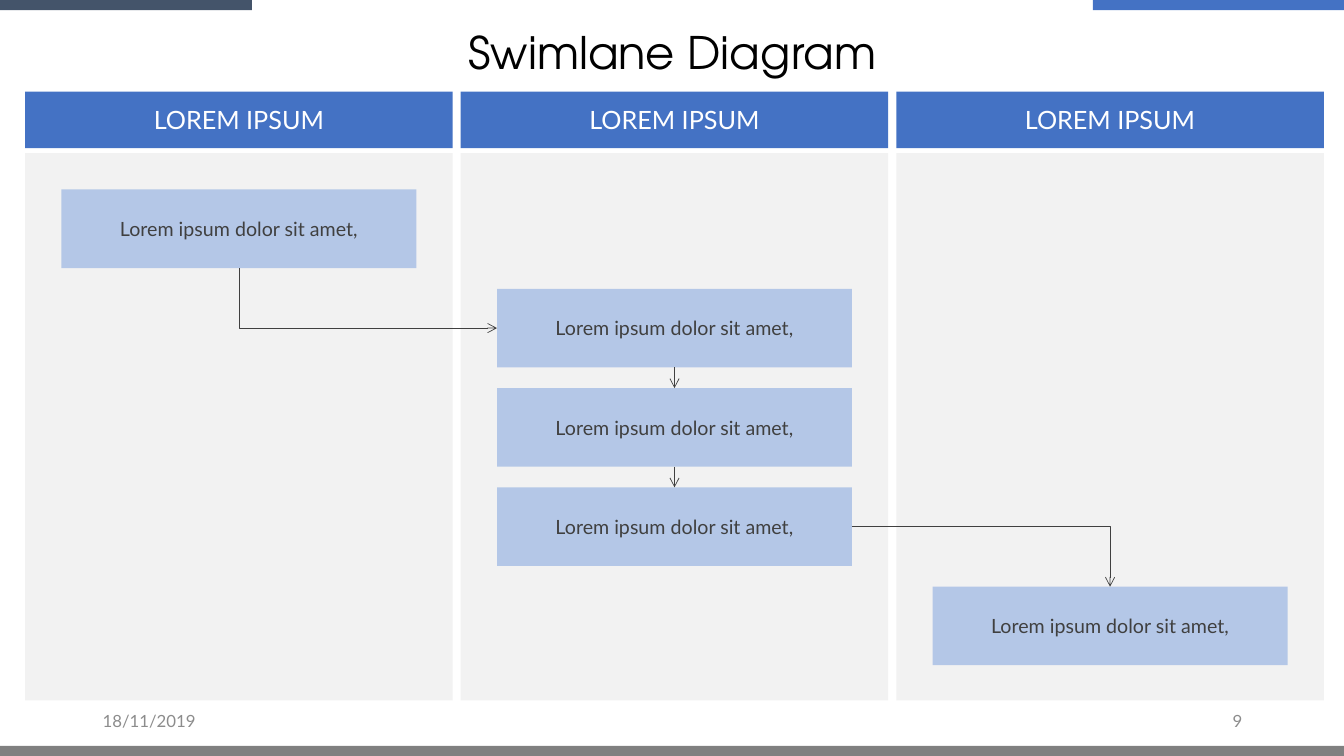
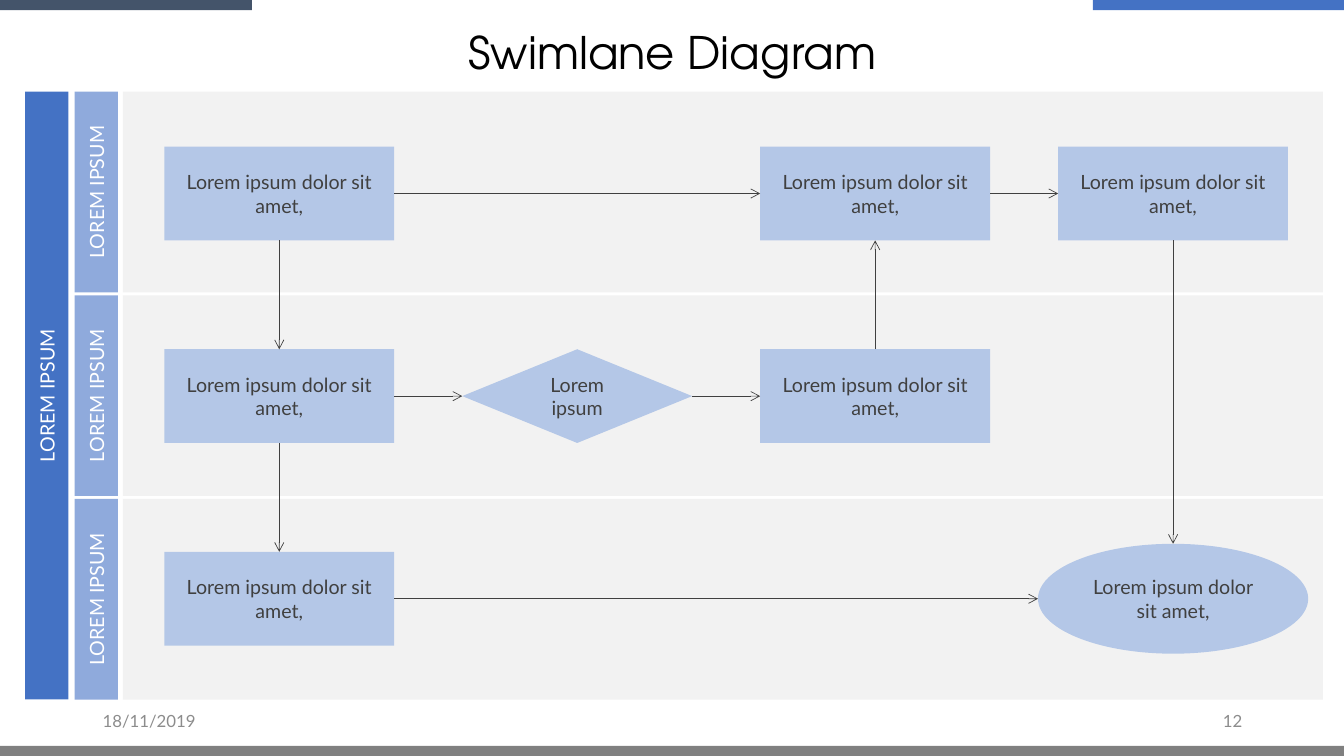
import lxml.etree
import pptx
import pptx.dml.color
import pptx.enum.shapes
import pptx.enum.text
import pptx.oxml.ns
import pptx.util

Inches = pptx.util.Inches
RGB = pptx.dml.color.RGBColor
qn = pptx.oxml.ns.qn
KIND = pptx.enum.shapes.MSO_SHAPE
LINK = pptx.enum.shapes.MSO_CONNECTOR
ALIGN = pptx.enum.text.PP_ALIGN
ANCHOR = pptx.enum.text.MSO_ANCHOR

# Colours and fonts
BLUE = RGB(0x44, 0x72, 0xC4)
MID = RGB(0x8F, 0xAA, 0xDC)
PALE = RGB(0xB4, 0xC7, 0xE7)
SLATE = RGB(0x44, 0x54, 0x6A)
GREY = RGB(0x80, 0x80, 0x80)
LANE = RGB(0xF2, 0xF2, 0xF2)
DARK = RGB(0x40, 0x40, 0x40)
FAINT = RGB(0x8C, 0x8C, 0x8C)
WHITE = RGB(0xFF, 0xFF, 0xFF)
BLACK = RGB(0, 0, 0)
BODY, HEAD = "Lato", "TeX Gyre Adventor"

# Content
TITLE = "Swimlane Diagram"
DATE = "18/11/2019"
LABEL = "LOREM IPSUM"
STEP = "Lorem ipsum dolor sit amet,"
TOP, LEFT, BASE, RIGHT = range(4)  # sides of a box

DOWN = {
    "page": "9",
    "lanes": [LABEL] * 3,
    # name: lane, row, text
    "steps": {
        "start": (0, 0, STEP),
        "second": (1, 1, STEP),
        "third": (1, 2, STEP),
        "fourth": (1, 3, STEP),
        "end": (2, 4, STEP),
    },
    "links": [
        ("start", BASE, "second", LEFT),
        ("second", BASE, "third", TOP),
        ("third", BASE, "fourth", TOP),
        ("fourth", RIGHT, "end", TOP),
    ],
}
ACROSS = {
    "page": "12",
    "group": LABEL,
    "lanes": [LABEL] * 3,
    # name: column, lane, text, kind, width, height
    "steps": {
        "start": (0, 0, STEP, KIND.RECTANGLE, 2.28, 0.93),
        "check": (0, 1, STEP, KIND.RECTANGLE, 2.28, 0.93),
        "file": (0, 2, STEP, KIND.RECTANGLE, 2.28, 0.93),
        "choice": (1, 1, "Lorem ipsum", KIND.FLOWCHART_DECISION, 2.28, 0.93),
        "act": (2, 1, STEP, KIND.RECTANGLE, 2.28, 0.93),
        "review": (2, 0, STEP, KIND.RECTANGLE, 2.28, 0.93),
        "sign": (3, 0, STEP, KIND.RECTANGLE, 2.28, 0.93),
        "end": (3, 2, STEP, KIND.OVAL, 2.68, 1.09),
    },
    "links": [
        ("start", RIGHT, "review", LEFT),
        ("start", BASE, "check", TOP),
        ("check", BASE, "file", TOP),
        ("file", RIGHT, "end", LEFT),
        ("check", RIGHT, "choice", LEFT),
        ("choice", RIGHT, "act", LEFT),
        ("act", TOP, "review", BASE),
        ("sign", BASE, "end", TOP),
        ("review", RIGHT, "sign", LEFT),
    ],
}


def write(shape, text, size, color, font=BODY, align=ALIGN.CENTER,
          anchor=ANCHOR.MIDDLE):
    frame = shape.text_frame
    for key, val in {"word_wrap": True, "vertical_anchor": anchor}.items():
        setattr(frame, key, val)
    para = frame.paragraphs[0]
    para.text, para.alignment = text, align
    style = para.runs[0].font
    for key, val in {"name": font, "size": pptx.util.Pt(size)}.items():
        setattr(style, key, val)
    style.color.rgb = color
    return frame


def block(slide, x, y, w, h, fill, kind=KIND.RECTANGLE):
    shape = slide.shapes.add_shape(kind, Inches(x), Inches(y), Inches(w), Inches(h))
    shape.shadow.inherit = False
    shape.fill.solid()
    shape.fill.fore_color.rgb = fill
    shape.line.fill.background()
    return shape


def label(slide, x, y, w, h, text, **style):
    box = slide.shapes.add_textbox(Inches(x), Inches(y), Inches(w), Inches(h))
    return write(box, text, **style)


def begin(deck, page):
    """Add a slide with the shared title, footers and bands."""
    slide = deck.slides.add_slide(deck.slide_layouts[6])
    frame = label(slide, 0.92, 0.27, 11.5, 0.56, TITLE, size=32, color=BLACK,
                  font=HEAD, anchor=ANCHOR.TOP)
    for side in ("left", "top", "right", "bottom"):
        setattr(frame, "margin_" + side, Inches(0.04))
    frame.auto_size = pptx.enum.text.MSO_AUTO_SIZE.SHAPE_TO_FIT_TEXT
    frame.paragraphs[0].line_spacing = 0.9
    for x, text, align in ((0.92, DATE, ALIGN.LEFT), (9.42, page, ALIGN.RIGHT)):
        label(slide, x, 6.95, 3, 0.4, text, size=12, color=FAINT, align=align)
    for x, y, w, fill in ((10.84, 0, 2.5, BLUE), (0, 0, 2.5, SLATE),
                          (0, 7.4, 13.33, GREY)):
        block(slide, x, y, w, 0.1, fill)
    return slide


def point(shape, side):
    """Middle of one side of a shape."""
    across = {LEFT: 0, RIGHT: 2}.get(side, 1)
    down = {TOP: 0, BASE: 2}.get(side, 1)
    return (shape.left + shape.width * across // 2,
            shape.top + shape.height * down // 2)


def site(shape, side):
    # An oval has eight sites, a box or diamond has four
    return side * 2 if shape.auto_shape_type == KIND.OVAL else side


def join(slide, first, out, last, into):
    """Glue an arrow to two shapes, with one bend where it must turn."""
    (ax, ay), (bx, by) = point(first, out), point(last, into)
    bent = out % 2 != into % 2
    kind = LINK.ELBOW if bent else LINK.STRAIGHT
    arrow = slide.shapes.add_connector(kind, ax, ay, bx, by)
    arrow.begin_connect(first, site(first, out))
    arrow.end_connect(last, site(last, into))
    for key, val in {"begin_x": ax, "begin_y": ay, "end_x": bx, "end_y": by}.items():
        setattr(arrow, key, val)
    arrow.line.color.rgb = DARK
    arrow.line.width = pptx.util.Pt(0.5)
    props = arrow._element.spPr
    lxml.etree.SubElement(props.find(qn("a:ln")), qn("a:tailEnd"), type="arrow")
    lxml.etree.SubElement(props, qn("a:effectLst"))
    if bent:
        props.find(qn("a:prstGeom")).set("prst", "bentConnector2")
    if bent and out == BASE:
        # Turn the elbow so that it leaves downwards
        w, h = bx - ax, by - ay
        place = {"left": ax + (w - h) // 2, "top": ay + (h - w) // 2,
                 "width": h, "height": w}
        for key, val in place.items():
            setattr(arrow, key, val)
        turn = props.find(qn("a:xfrm"))
        turn.set("rot", "16200000")
        turn.set("flipH", "1")


def link(slide, boxes, links):
    for first, out, last, into in links:
        join(slide, boxes[first], out, boxes[last], into)


def draw_down(deck, data):
    slide = begin(deck, data["page"])
    edge, pitch, wide = 0.25, 4.32, 4.24
    # Lanes
    for i, text in enumerate(data["lanes"]):
        x = edge + i * pitch
        write(block(slide, x, 0.91, wide, 0.56, BLUE), text, 18, WHITE)
        block(slide, x, 1.52, wide, 5.43, LANE)
    # Steps
    boxes = {}
    w, h = 3.52, 0.78
    for name, (lane, row, text) in data["steps"].items():
        x = edge + lane * pitch + (wide - w) / 2
        boxes[name] = block(slide, x, 1.88 + row * 0.985, w, h, PALE)
        write(boxes[name], text, 14, DARK)
    link(slide, boxes, data["links"])


def draw_across(deck, data):
    slide = begin(deck, data["page"])
    top, pitch, high = 0.91, 2.02, 1.99

    def tab(x, y, h, fill, text):
        frame = write(block(slide, x, y, 0.43, h, fill), text, 14, WHITE)
        frame._txBody.bodyPr.set("vert", "vert270")

    # Lanes
    count = len(data["lanes"])
    tab(0.25, top, (count - 1) * pitch + high, BLUE, data["group"])
    for i, text in enumerate(data["lanes"]):
        y = top + i * pitch
        tab(0.74, y, high, MID, text)
        block(slide, 1.22, y, 11.9, high, LANE)
    # Steps, centred on the grid
    boxes = {}
    for name, (col, lane, text, kind, w, h) in data["steps"].items():
        x = 2.77 + col * 2.955 - w / 2
        y = 1.92 + lane * 2.01 - h / 2
        boxes[name] = block(slide, x, y, w, h, PALE, kind)
        write(boxes[name], text, 14, DARK)
    link(slide, boxes, data["links"])


def main():
    deck = pptx.Presentation()
    deck.slide_width, deck.slide_height = Inches(13.33), Inches(7.5)
    draw_down(deck, DOWN)
    draw_across(deck, ACROSS)
    deck.save("out.pptx")


if __name__ == "__main__":
    main()
